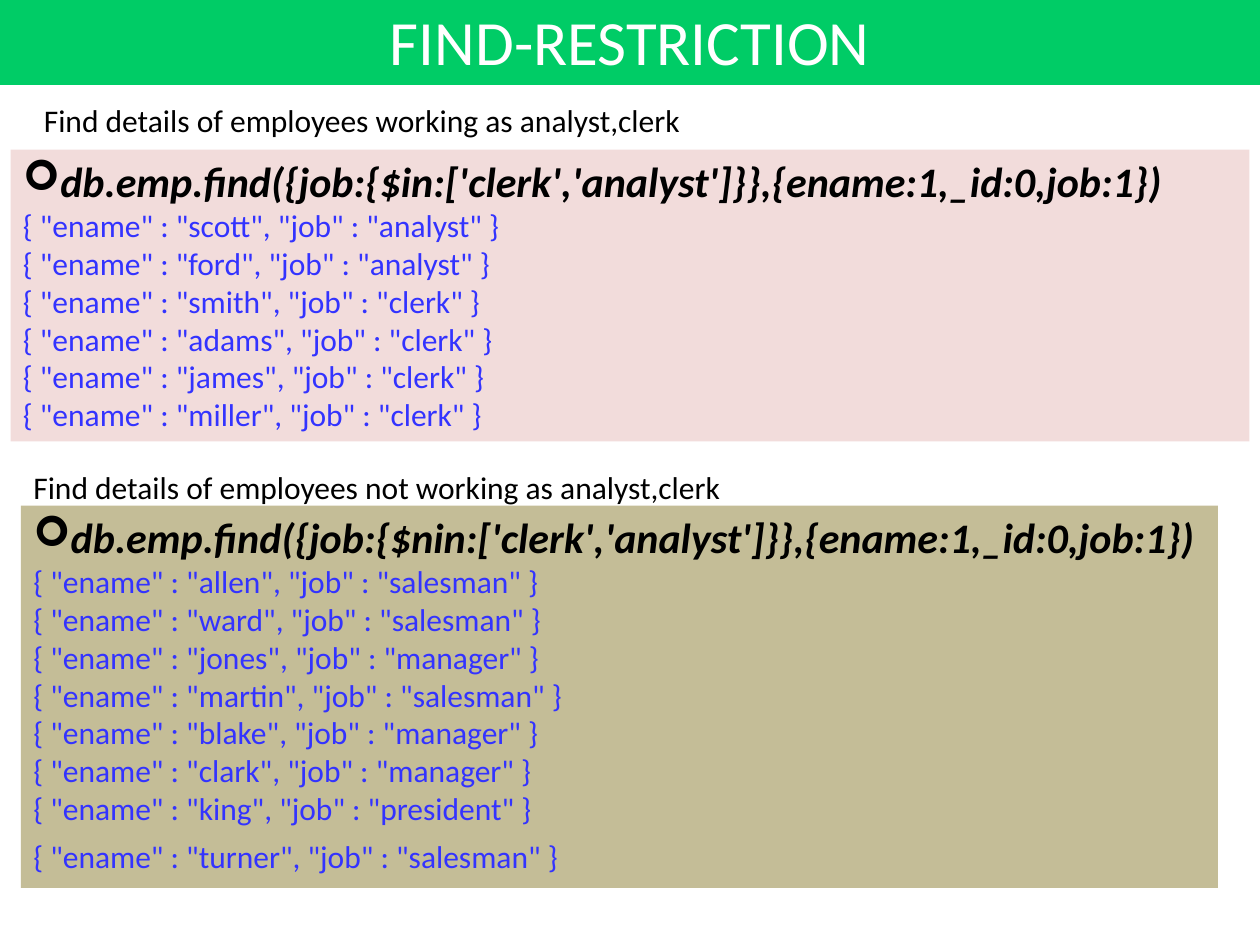
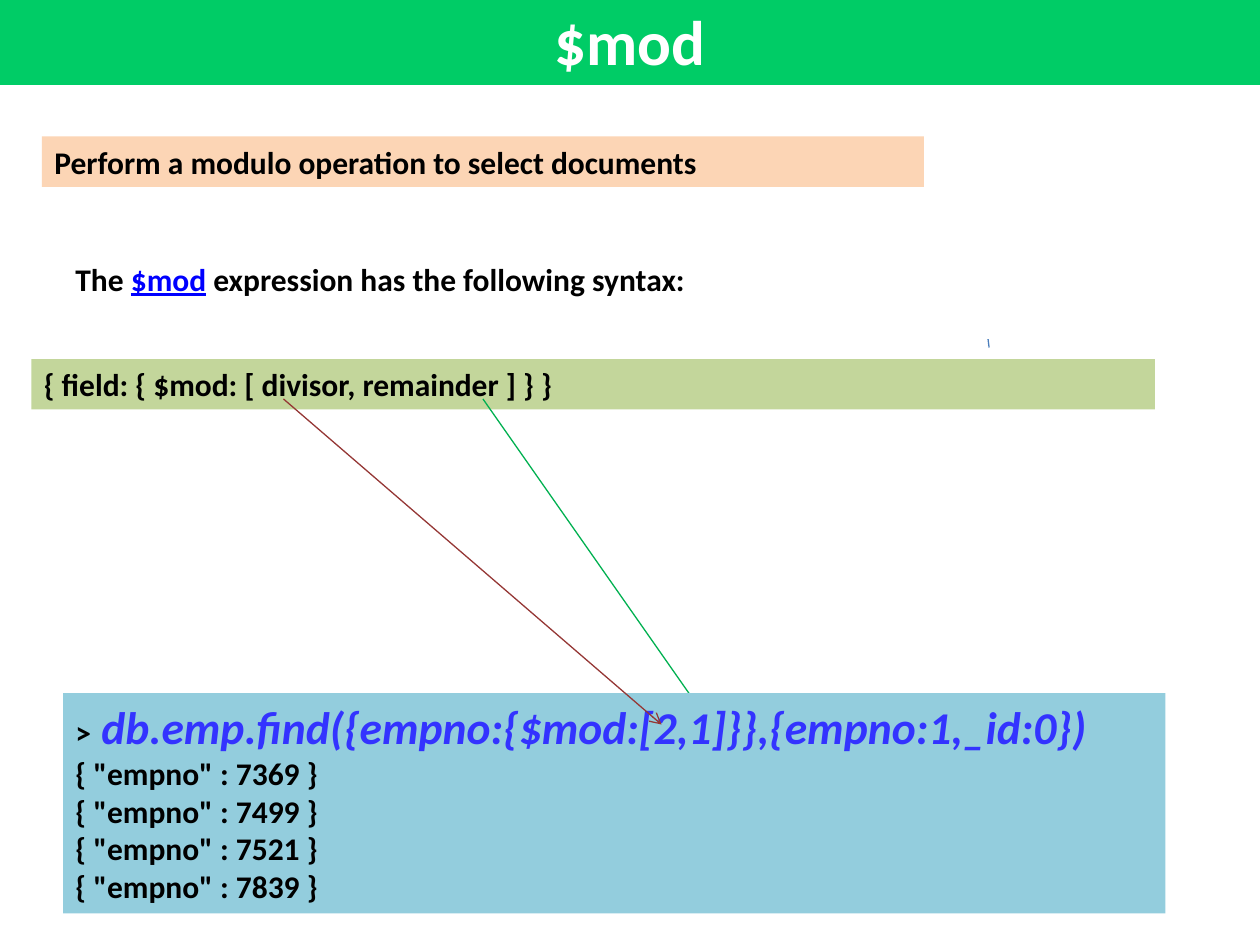
from dataclasses import dataclass

from lxml.etree import SubElement
from pptx import Presentation
from pptx.dml.color import RGBColor
from pptx.enum.shapes import MSO_CONNECTOR, MSO_SHAPE
from pptx.enum.text import MSO_ANCHOR, MSO_AUTO_SIZE, PP_ALIGN
from pptx.oxml.ns import qn
from pptx.util import Inches, Pt


@dataclass(frozen=True)
class Theme:
    font: str = "Calibri"
    title_size: int = 36
    body_size: int = 18
    command_size: int = 24
    large_command_size: int = 26
    line_width: float = 0.75
    green_band: str = "00CC66"
    white: str = "FFFFFF"
    black: str = "000000"
    result_blue: str = "3333FF"
    link_blue: str = "0000FF"
    pink: str = "F2DCDB"
    khaki: str = "C4BD97"
    peach: str = "FCD5B5"
    lime: str = "C3D69B"
    sky: str = "93CDDD"
    arrow_green: str = "00B050"
    arrow_red: str = "953735"
    tick_blue: str = "4B7EBC"


THEME = Theme()

# The grid: 120 columns by 90 rows on a 10 by 7.5 inch slide
WIDTH, HEIGHT = Inches(10), Inches(7.5)
COLUMNS, ROWS = 120, 90
LINE_ROWS = 4.8  # height of a box that holds one line of text

# Text styles
BODY = {"name": THEME.font, "size": Pt(THEME.body_size), "color": THEME.black}
BOLD = BODY | {"bold": True}
LINK = BOLD | {"color": THEME.link_blue, "underline": True}
RESULT = BODY | {"color": THEME.result_blue}
COMMAND = BOLD | {"size": Pt(THEME.command_size), "italic": True}
LARGE_COMMAND = COMMAND | {"size": Pt(THEME.large_command_size),
                           "color": THEME.result_blue}
TITLE = BODY | {"size": Pt(THEME.title_size), "color": THEME.white}


def x(column):
    return round(WIDTH * column / COLUMNS)


def y(row):
    return round(HEIGHT * row / ROWS)


def place(left, top, width, height):
    return x(left), y(top), x(width), y(height)


def rgb(color):
    return RGBColor.from_string(color)


def add_bullet(paragraph):
    properties = paragraph._p.get_or_add_pPr()
    properties.set("marL", "0")
    properties.set("indent", "0")
    SubElement(properties, qn("a:buFont"), typeface="Wingdings")
    SubElement(properties, qn("a:buChar"), char="➢")


def write(frame, lines, align=PP_ALIGN.LEFT, wrap=True):
    """Each line is a list of (text, style) runs."""
    frame.word_wrap = wrap
    frame.auto_size = MSO_AUTO_SIZE.NONE
    for index, runs in enumerate(lines):
        paragraph = frame.add_paragraph() if index else frame.paragraphs[0]
        paragraph.alignment = align
        for text, style in runs:
            run = paragraph.add_run()
            run.text = text
            for key, value in style.items():
                if key == "color":
                    run.font.color.rgb = rgb(value)
                else:
                    setattr(run.font, key, value)


def add_panel(slide, area, color, lines, align=PP_ALIGN.LEFT, anchor=MSO_ANCHOR.TOP):
    shape = slide.shapes.add_shape(MSO_SHAPE.RECTANGLE, *place(*area))
    shape.shadow.inherit = False
    shape.fill.solid()
    shape.fill.fore_color.rgb = rgb(color)
    shape.line.fill.background()
    write(shape.text_frame, lines, align)
    shape.text_frame.vertical_anchor = anchor
    return shape


def add_text(slide, area, runs, wrap=True):
    box = slide.shapes.add_textbox(*place(*area))
    write(box.text_frame, [runs], wrap=wrap)


def add_query_panel(slide, area, color, command, employees):
    """A bulleted command followed by the documents it returns."""
    results = [[(f'{{ "ename" : "{name}", "job" : "{job}" }}', RESULT)]
               for name, job in employees]
    panel = add_panel(slide, area, color, [[(command, COMMAND)], *results])
    add_bullet(panel.text_frame.paragraphs[0])
    return panel


def style_line(line, color):
    line.color.rgb = rgb(color)
    line.width = Pt(THEME.line_width)


def add_arrow(slide, start, end, color):
    arrow = slide.shapes.add_connector(
        MSO_CONNECTOR.STRAIGHT, x(start[0]), y(start[1]), x(end[0]), y(end[1]))
    style_line(arrow.line, color)
    SubElement(arrow.line._get_or_add_ln(), qn("a:tailEnd"), type="arrow")
    SubElement(arrow._element.spPr, qn("a:effectLst"))


def add_tick(slide, start, end, color):
    builder = slide.shapes.build_freeform(x(start[0]), y(start[1]))
    builder.add_line_segments([(x(end[0]), y(end[1]))], close=False)
    tick = builder.convert_to_shape()
    tick.shadow.inherit = False
    tick.fill.background()
    style_line(tick.line, color)


def add_titled_slide(presentation, title, bold=False):
    slide = presentation.slides.add_slide(presentation.slide_layouts[6])
    add_panel(slide, (0, -0.4, COLUMNS, 8.5), THEME.green_band,
              [[(title, TITLE | {"bold": bold})]], PP_ALIGN.CENTER, MSO_ANCHOR.MIDDLE)
    return slide


def build_restriction_slide(presentation):
    slide = add_titled_slide(presentation, "FIND-RESTRICTION")

    # Jobs in the list
    add_query_panel(
        slide, (1, 14.25, 118, 27.8), THEME.pink,
        "db.emp.find({job:{$in:['clerk','analyst']}},{ename:1,_id:0,job:1})",
        [("scott", "analyst"), ("ford", "analyst"), ("smith", "clerk"),
         ("adams", "clerk"), ("james", "clerk"), ("miller", "clerk")])
    add_text(slide, (3, 9, 66, LINE_ROWS),
             [("Find details of employees working as analyst,clerk", BODY)], wrap=False)

    # Jobs outside the list
    panel = add_query_panel(
        slide, (2, 48.15, 114, 36.4), THEME.khaki,
        "db.emp.find({job:{$nin:['clerk','analyst']}},{ename:1,_id:0,job:1})",
        [("allen", "salesman"), ("ward", "salesman"), ("jones", "manager"),
         ("martin", "salesman"), ("blake", "manager"), ("clark", "manager"),
         ("king", "president"), ("turner", "salesman")])
    panel.text_frame.paragraphs[-1].space_before = Pt(6)
    add_text(slide, (2, 44, 97, LINE_ROWS),
             [("Find details of employees not working as analyst,clerk", BODY)])


def build_mod_slide(presentation):
    slide = add_titled_slide(presentation, "$mod", bold=True)

    # Purpose and syntax
    add_panel(slide, (4, 13, 84, LINE_ROWS), THEME.peach,
              [[("Perform a modulo operation to select documents", BOLD)]])
    add_tick(slide, (94.1, 32.3), (94.2, 33.1), THEME.tick_blue)
    add_panel(slide, (3, 34.2, 107, LINE_ROWS), THEME.lime,
              [[("{ field: { $mod: [ divisor, remainder ] } }", BOLD)]])
    add_text(slide, (6, 24.15, 61, LINE_ROWS),
             [("The ", BOLD), ("$mod", LINK),
              (" expression has the following syntax:", BOLD)], wrap=False)

    # Example query, with arrows from the syntax to its arguments
    add_arrow(slide, (46, 38), (67, 68), THEME.arrow_green)
    results = [[(f'{{ "empno" : {number} }}', BOLD)]
               for number in (7369, 7499, 7521, 7839)]
    command = [(">", BOLD),
               (" db.emp.find({empno:{$mod:[2,1]}},{empno:1,_id:0})", LARGE_COMMAND)]
    add_panel(slide, (6, 66, 105, 21), THEME.sky, [command, *results])
    add_arrow(slide, (27, 38), (63, 69), THEME.arrow_red)


def main():
    presentation = Presentation()
    presentation.slide_width, presentation.slide_height = WIDTH, HEIGHT
    build_restriction_slide(presentation)
    build_mod_slide(presentation)
    presentation.save("out.pptx")


if __name__ == "__main__":
    main()
